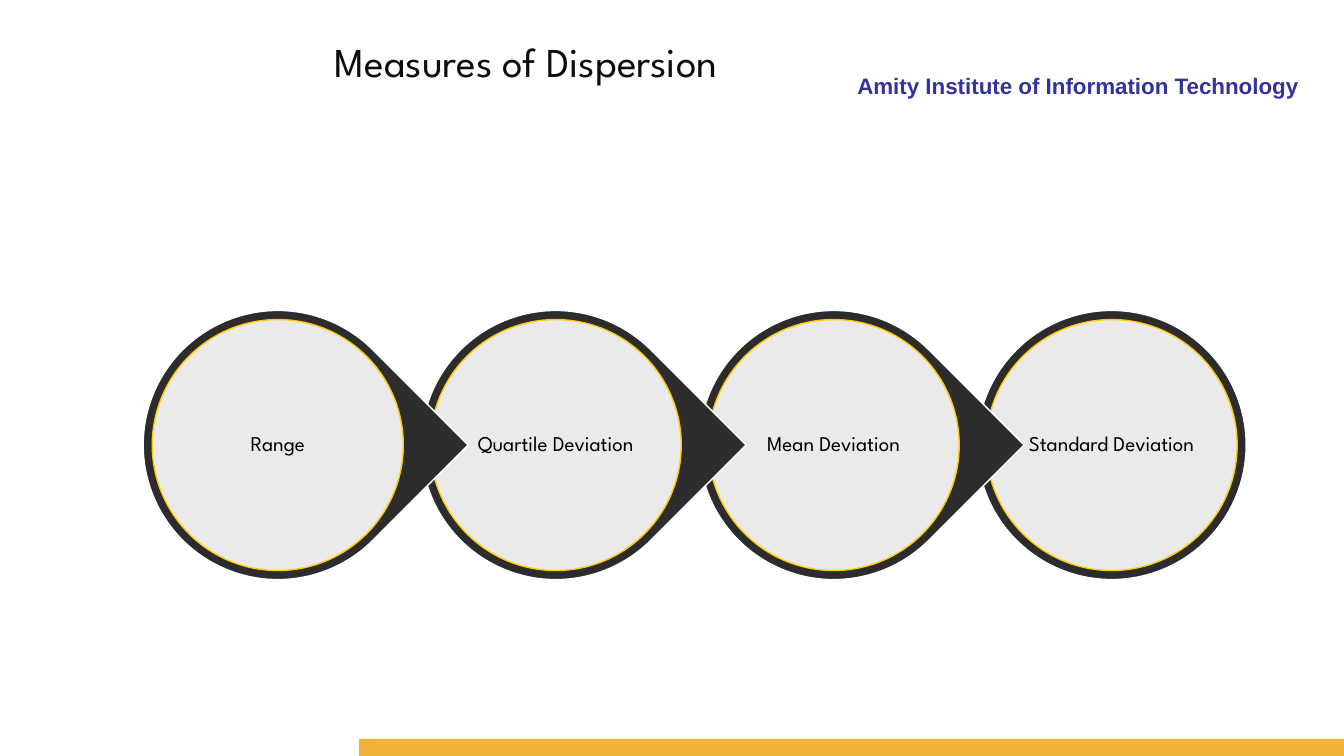
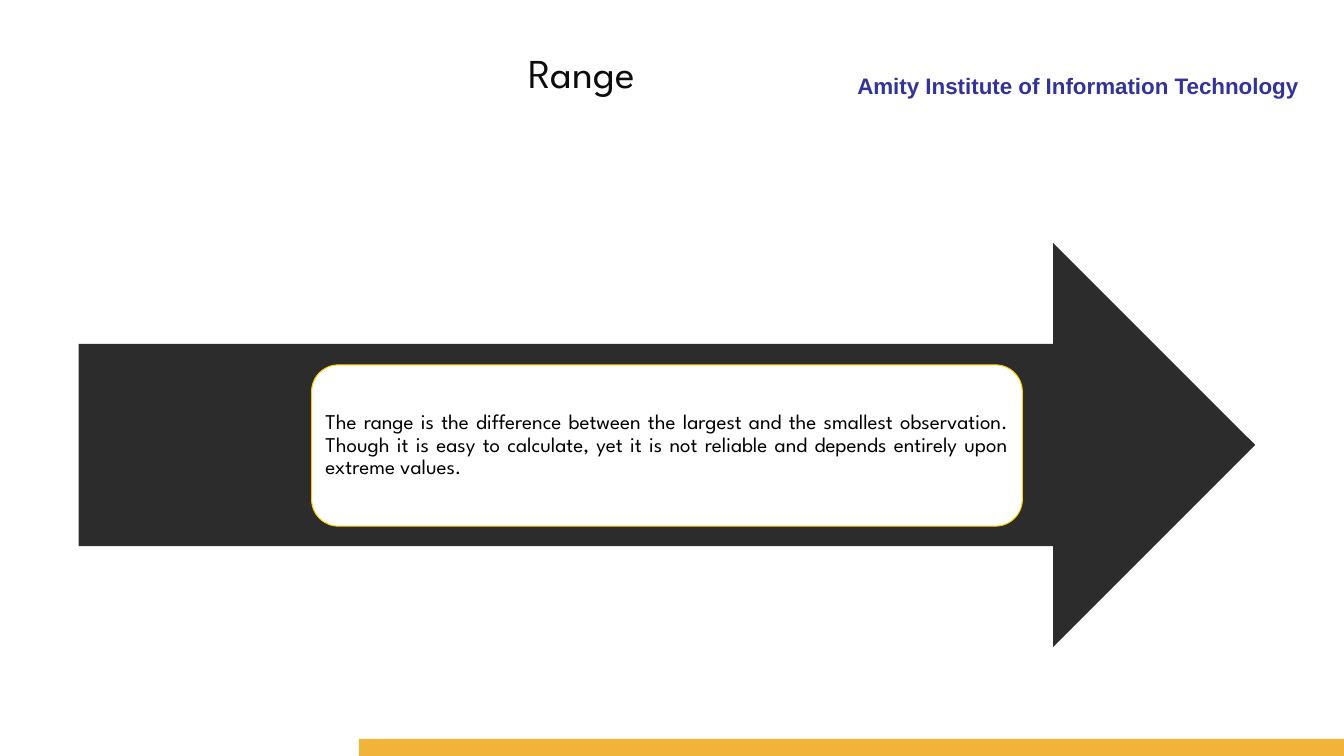
from dataclasses import dataclass

from lxml import etree
from pptx import Presentation
from pptx.dml.color import RGBColor
from pptx.enum import shapes, text
from pptx.oxml import ns
from pptx.util import Inches, Pt

SHAPE = shapes.MSO_SHAPE
ALIGN = text.PP_ALIGN


@dataclass(frozen=True)
class Theme:
    """Colours, fonts and type sizes shared by all slides."""
    ink: str = "0D0D0D"
    black: str = "000000"
    white: str = "FFFFFF"
    dark: str = "2C2C2C"
    gold: str = "FFCC01"
    band: str = "F1B43B"
    institute: str = "333399"
    display_font: str = "League Spartan"
    header_font: str = "Arial"
    title_size: float = 29.3
    header_size: float = 16
    body_size: float = 15


class DeckBuilder:
    """Holds the theme and the current page."""

    def __init__(self, theme):
        self.theme = theme
        self.deck = Presentation()
        self.deck.slide_width = Inches(13.33)
        self.deck.slide_height = Inches(7.5)
        self.page = None

    def new_page(self, title, left, top, width):
        theme = self.theme
        self.page = self.deck.slides.add_slide(self.deck.slide_layouts[5])

        # Title
        box = self.page.shapes.title
        box.left, box.top = Inches(left), Inches(top)
        box.width, box.height = Inches(width), Inches(0.59)
        frame = box.text_frame
        frame.word_wrap = False
        frame.auto_size = text.MSO_AUTO_SIZE.NONE
        frame.vertical_anchor = text.MSO_ANCHOR.TOP
        self.set_text(frame, title, theme.title_size, theme.ink)

        # Institute header and bottom band
        header = self.page.shapes.add_textbox(
            Inches(5.09), Inches(0.67), Inches(7.89), Inches(0.33))
        header.text_frame.word_wrap = True
        para = self.set_text(
            header.text_frame, "Amity Institute of Information Technology",
            theme.header_size, theme.institute, ALIGN.RIGHT, theme.header_font)
        para.font.bold = True
        self.shape(SHAPE.RECTANGLE, 3.56, 7.33, 9.78, 0.17, theme.band)

    def set_text(self, frame, words, size, color, align=ALIGN.LEFT, font=None):
        para = frame.paragraphs[0]
        para.text = words
        para.alignment = align
        para.font.name = font or self.theme.display_font
        para.font.size = Pt(size)
        para.font.color.rgb = RGBColor.from_string(color)
        return para

    def shape(self, kind, left, top, width, height, fill,
              line=None, line_width=1, opacity=100):
        shape = self.page.shapes.add_shape(
            kind, Inches(left), Inches(top), Inches(width), Inches(height))
        shape.shadow.inherit = False
        shape.fill.solid()
        shape.fill.fore_color.rgb = RGBColor.from_string(fill)
        if opacity < 100:
            color = shape.element.spPr.find(
                ns.qn("a:solidFill") + "/" + ns.qn("a:srgbClr"))
            alpha = etree.SubElement(color, ns.qn("a:alpha"))
            alpha.set("val", str(opacity * 1000))
        if line:
            shape.line.color.rgb = RGBColor.from_string(line)
            shape.line.width = Pt(line_width)
        else:
            shape.line.fill.background()
        return shape

    def label(self, shape, words, align, inset):
        frame = shape.text_frame
        frame.word_wrap = True
        frame.vertical_anchor = text.MSO_ANCHOR.MIDDLE
        frame.margin_left = frame.margin_right = Inches(inset)
        frame.margin_top = frame.margin_bottom = Inches(inset)
        para = self.set_text(frame, words, self.theme.body_size,
                             self.theme.black, align)
        para.line_spacing = 0.9

    def circle_chain(self, labels, first_left, last_left, top):
        """Overlapping drops that point right; the last is a plain circle."""
        theme = self.theme
        size, disc_size = 2.67, 2.49
        rim = (size - disc_size) / 2
        last = len(labels) - 1
        step = (last_left - first_left) / last
        for index in range(last, -1, -1):
            left = first_left + index * step
            kind = SHAPE.OVAL if index == last else SHAPE.TEAR
            ring = self.shape(kind, left, top, size, size,
                              theme.dark, theme.white)
            ring.rotation = 0 if index == last else 45
            disc = self.shape(SHAPE.OVAL, left + rim, top + rim, disc_size,
                              disc_size, theme.white, theme.gold, opacity=90)
            self.label(disc, labels[index], ALIGN.CENTER, 0.02)

    def arrow_with_card(self, words):
        theme = self.theme
        self.shape(SHAPE.RIGHT_ARROW, 0.78, 2.41, 11.67, 4.01, theme.dark)
        card = self.shape(SHAPE.ROUNDED_RECTANGLE, 3.09, 3.62, 7.05, 1.6,
                          theme.white, theme.gold, 0.75)
        self.label(card, words, ALIGN.JUSTIFY, 0.06)


def main():
    builder = DeckBuilder(Theme())

    # Slide 1: the four measures
    builder.new_page("Measures of Dispersion", 3.22, 0.31, 4.7)
    builder.circle_chain(
        ["Range", "Quartile Deviation", "Mean Deviation", "Standard Deviation"],
        first_left=1.42, last_left=9.69, top=3.08)

    # Slide 2: definition of the range
    builder.new_page("Range", 5.14, 0.42, 1.53)
    builder.arrow_with_card(
        "The range is the difference between the largest and the smallest "
        "observation. Though it is easy to calculate, yet it is not reliable "
        "and depends entirely upon extreme values.")

    builder.deck.save("out.pptx")


if __name__ == "__main__":
    main()
